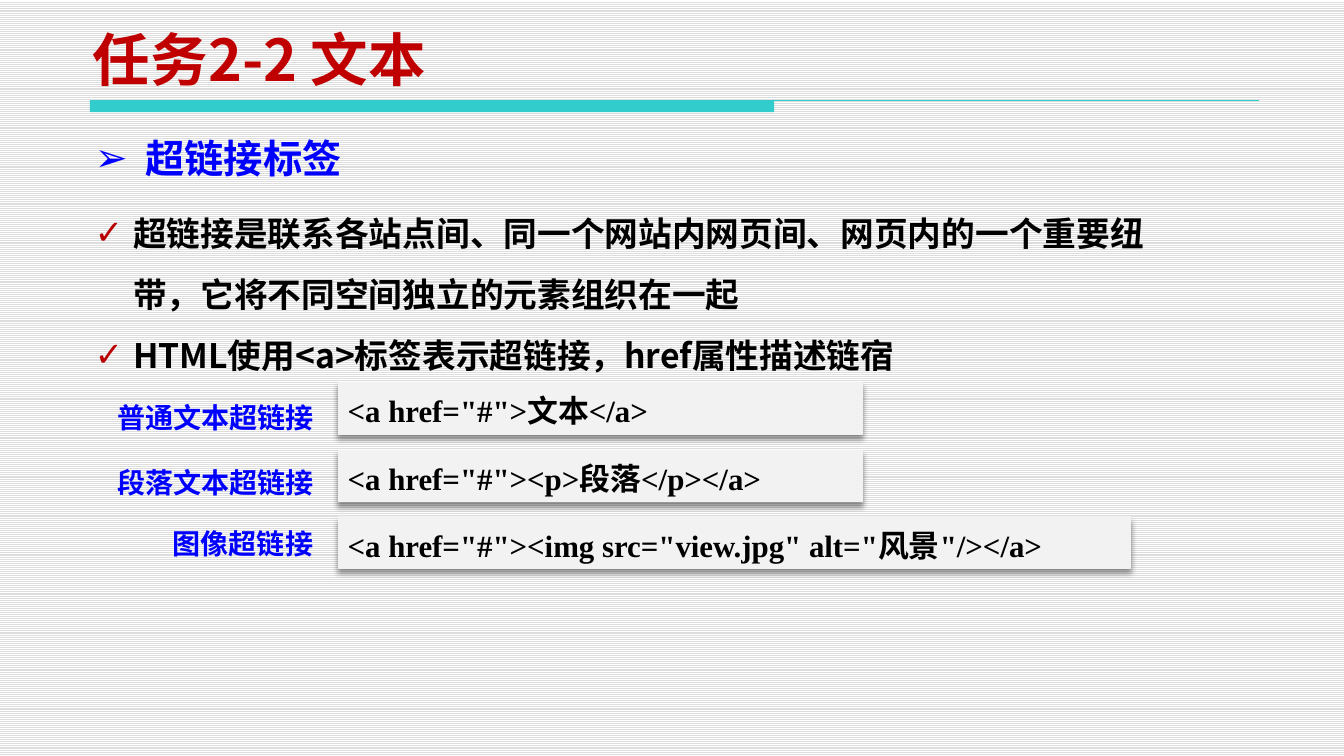
from dataclasses import dataclass

from lxml import etree
from pptx import Presentation
from pptx import util as u
from pptx.dml.color import RGBColor
from pptx.enum import dml, shapes, text
from pptx.oxml import ns, parse_xml

PX = 9144  # EMU per px, 100 px to the inch


@dataclass(frozen=True)
class Theme:
    title: str = "C00000"
    accent: str = "33CCCC"
    label: str = "0000FF"
    body: str = "000000"
    check: str = "B90000"
    code_fill: str = "F2F2F2"
    stripe: str = "DDDDDD"
    paper: str = "FFFFFF"
    sans: str = "Noto Sans CJK SC"
    symbol: str = "DejaVu Sans"
    code: str = "Times New Roman"
    title_size: int = 41
    heading_size: int = 28
    body_size: int = 24
    code_size: int = 22
    label_size: int = 20


THEME = Theme()


@dataclass(frozen=True)
class Box:
    left: int
    top: int
    width: int
    height: int

    def emu(self) -> tuple[int, int, int, int]:
        return self.left * PX, self.top * PX, self.width * PX, self.height * PX


@dataclass(frozen=True)
class Style:
    size: int
    color: str
    font: str = THEME.sans
    spacing: float = 1.0


@dataclass(frozen=True)
class Bullet:
    char: str
    color: str
    indent: int


@dataclass(frozen=True)
class LinkExample:
    label: str
    label_left: int
    label_top: int
    code: str
    code_top: int
    code_width: int


TITLE = Style(THEME.title_size, THEME.title)
HEADING = Style(THEME.heading_size, THEME.label, THEME.symbol)
BODY = Style(THEME.body_size, THEME.body, spacing=1.5)
LABEL = Style(THEME.label_size, THEME.label, spacing=1.5)
CODE = Style(THEME.code_size, THEME.body, THEME.code)

ARROW = Bullet("➢", THEME.label, 50)
CHECK = Bullet("✓", THEME.check, 38)

POINTS = [
    "超链接是联系各站点间、同一个网站内网页间、网页内的一个重要纽带，它将不同空间独立的元素组织在一起",
    "HTML使用<a>标签表示超链接，href属性描述链宿",
]
EXAMPLES = [
    LinkExample("普通文本超链接", 106, 375, '<a href="#">文本</a>', 378, 520),
    LinkExample("段落文本超链接", 106, 439, '<a href="#"><p>段落</p></a>', 445, 520),
    LinkExample("图像超链接", 161, 499,
                '<a href="#"><img src="view.jpg" alt="风景"/></a>', 511, 785),
]
NO_TABLE_STYLE = "{2D5ABB26-0587-4C30-8999-92F81FD0307C}"
TABLE_SHADOW = (
    f'<a:effectLst {ns.nsdecls("a")}><a:outerShdw blurRad="50800" dist="38100" '
    'dir="5400000" algn="t" rotWithShape="0"><a:prstClr val="black">'
    '<a:alpha val="40000"/></a:prstClr></a:outerShdw></a:effectLst>'
)


def rgb(color: str) -> RGBColor:
    return RGBColor.from_string(color)


def style_paragraph(paragraph, style: Style) -> None:
    font = paragraph.font
    font.name, font.size, font.bold = style.font, u.Pt(style.size), True
    font.color.rgb = rgb(style.color)
    east_asian = etree.Element(ns.qn("a:ea"), typeface=THEME.sans)
    font._element.find(ns.qn("a:latin")).addnext(east_asian)
    paragraph.line_spacing = style.spacing


def add_bullet(paragraph, bullet: Bullet) -> None:
    props = paragraph._p.get_or_add_pPr()
    props.set("marL", str(bullet.indent * PX))
    props.set("indent", str(-bullet.indent * PX))
    color = etree.Element(ns.qn("a:buClr"))
    etree.SubElement(color, ns.qn("a:srgbClr"), val=bullet.color)
    face = etree.Element(ns.qn("a:buFont"), typeface=THEME.symbol)
    char = etree.Element(ns.qn("a:buChar"), char=bullet.char)
    for part in (color, face, char):
        props.find(ns.qn("a:defRPr")).addprevious(part)


def add_text(slide, box: Box, lines: list[str], style: Style,
             bullet: Bullet | None = None) -> None:
    frame = slide.shapes.add_textbox(*box.emu()).text_frame
    frame.word_wrap = True
    frame.text = "\n".join(lines)
    for paragraph in frame.paragraphs:
        style_paragraph(paragraph, style)
        if bullet:
            add_bullet(paragraph, bullet)


def add_title(slide, box: Box, wording: str) -> None:
    title = slide.shapes.title
    title.left, title.top, title.width, title.height = box.emu()
    frame = title.text_frame
    frame.text = wording
    frame.auto_size = text.MSO_AUTO_SIZE.NONE
    frame.vertical_anchor = text.MSO_ANCHOR.BOTTOM
    frame.paragraphs[0].alignment = text.PP_ALIGN.LEFT
    style_paragraph(frame.paragraphs[0], TITLE)


def add_title_rule(slide, bar: Box, line_end: int) -> None:
    """Draw the thick bar and the thin line that runs on from its top edge."""
    thick = slide.shapes.add_shape(shapes.MSO_SHAPE.RECTANGLE, *bar.emu())
    thick.shadow.inherit = False
    thick.fill.solid()
    thick.fill.fore_color.rgb = rgb(THEME.accent)
    thick.line.fill.background()
    thin = slide.shapes.add_connector(
        shapes.MSO_CONNECTOR.STRAIGHT,
        bar.left * PX, bar.top * PX, line_end * PX, bar.top * PX)
    thin.line.color.rgb = rgb(THEME.accent)
    thin.line.width = u.Pt(0.75)
    etree.SubElement(thin._element.spPr, ns.qn("a:effectLst"))


def add_code(slide, box: Box, wording: str) -> None:
    table = slide.shapes.add_table(1, 1, *box.emu()).table
    table.first_row = table.horz_banding = False
    props = table._tbl.tblPr
    props.find(ns.qn("a:tableStyleId")).text = NO_TABLE_STYLE
    props.insert(0, parse_xml(TABLE_SHADOW))
    cell = table.cell(0, 0)
    cell.text = wording
    cell.vertical_anchor = text.MSO_ANCHOR.MIDDLE
    cell.fill.solid()
    cell.fill.fore_color.rgb = rgb(THEME.code_fill)
    style_paragraph(cell.text_frame.paragraphs[0], CODE)


def add_striped_background(slide) -> None:
    fill = slide.background.fill
    fill.patterned()
    fill.pattern = dml.MSO_PATTERN.LIGHT_HORIZONTAL
    fill.fore_color.rgb = rgb(THEME.stripe)
    fill.back_color.rgb = rgb(THEME.paper)


def main() -> None:
    deck = Presentation()
    deck.slide_width, deck.slide_height = 1330 * PX, 748 * PX
    slide = deck.slides.add_slide(deck.slide_layouts.get_by_name("Title Only"))
    add_striped_background(slide)
    add_title_rule(slide, Box(89, 99, 677, 12), line_end=1246)
    add_title(slide, Box(82, 28, 969, 69), "任务2-2 文本")
    add_text(slide, Box(84, 128, 850, 58), ["超链接标签"], HEADING, ARROW)
    add_text(slide, Box(84, 186, 1077, 192), POINTS, BODY, CHECK)
    for example in EXAMPLES:
        add_code(slide, Box(334, example.code_top, example.code_width, 52),
                 example.code)
        add_text(slide, Box(example.label_left, example.label_top, 228, 61),
                 [example.label], LABEL)
    deck.save("out.pptx")


if __name__ == "__main__":
    main()
